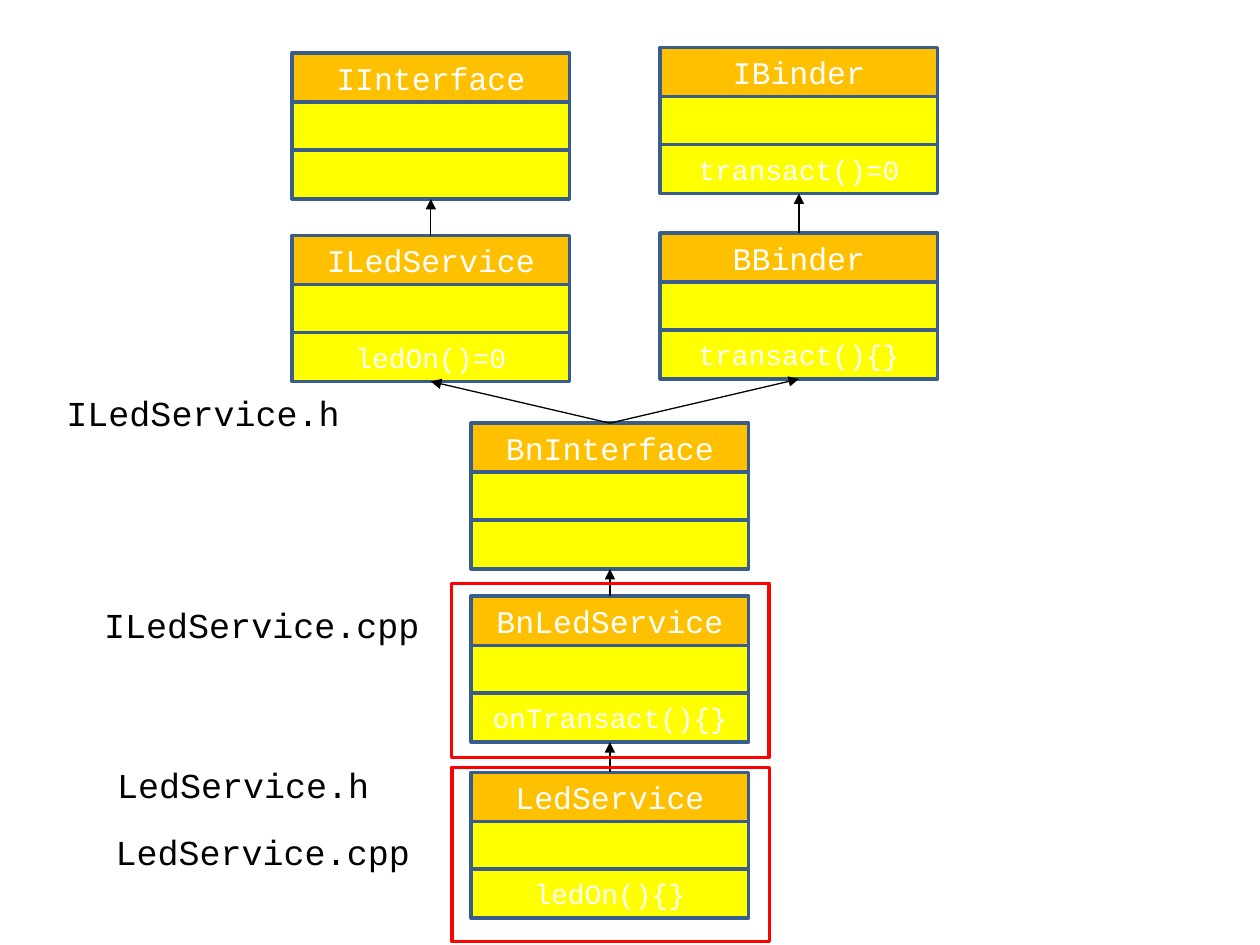
import pptx
import pptx.util
import pptx.dml.color
import pptx.enum.shapes
import pptx.enum.text
import pptx.oxml.ns
from dataclasses import dataclass
from lxml import etree

Cm, Pt = pptx.util.Cm, pptx.util.Pt
RGB = pptx.dml.color.RGBColor.from_string
RECT = pptx.enum.shapes.MSO_SHAPE.RECTANGLE
STRAIGHT = pptx.enum.shapes.MSO_CONNECTOR.STRAIGHT
PP_ALIGN = pptx.enum.text.PP_ALIGN
ANCHOR = pptx.enum.text.MSO_ANCHOR
AUTO_SIZE = pptx.enum.text.MSO_AUTO_SIZE
qn = pptx.oxml.ns.qn


@dataclass(frozen=True)
class Theme:
    font: str = "Courier New"
    header: str = "FFC000"
    body: str = "FFFF00"
    border: str = "385D8A"
    frame: str = "FF0000"
    light: str = "FFFFFF"
    dark: str = "000000"
    name_size: int = 18
    method_size: int = 16
    label_size: int = 20
    border_width: float = 2
    arrow_width: float = 0.75


THEME = Theme()
BOX_W, ROW_H = 5.59, 0.99
ROW_STEPS = (0, 0.99, 1.95)
LEFT, MIDDLE, RIGHT = 5.89, 9.5, 13.31

# name: (left, top, method)
CLASSES = {
    "IInterface": (LEFT, 1.07, ""),
    "IBinder": (RIGHT, 0.96, "transact()=0"),
    "ILedService": (LEFT, 4.75, "ledOn()=0"),
    "BBinder": (RIGHT, 4.7, "transact(){}"),
    "BnInterface": (MIDDLE, 8.53, ""),
    "BnLedService": (MIDDLE, 12.02, "onTransact(){}"),
    "LedService": (MIDDLE, 15.57, "ledOn(){}"),
}
INHERITS = [
    ("ILedService", "IInterface"),
    ("BBinder", "IBinder"),
    ("BnInterface", "ILedService"),
    ("BnInterface", "BBinder"),
    ("BnLedService", "BnInterface"),
    ("LedService", "BnLedService"),
]
FRAMES = [(9.1, 11.76), (9.11, 15.47)]
FILES = [
    ("ILedService.h", 1.09, 7.77, 6.05),
    ("ILedService.cpp", 1.85, 12.04, 6.88),
    ("LedService.h", 2.11, 15.27, 5.61),
    ("LedService.cpp", 2.08, 16.61, 6.45),
]


def set_text(tf, text, size, color):
    tf.text = text
    for r in tf.paragraphs[0].runs:
        r.font.name = THEME.font
        r.font.size = Pt(size)
        r.font.color.rgb = RGB(color)


def add_rect(slide, left, top, width, height, line, fill=None):
    sp = slide.shapes.add_shape(RECT, Cm(left), Cm(top), Cm(width), Cm(height))
    sp.shadow.inherit = False
    sp.line.color.rgb = RGB(line)
    sp.line.width = Pt(THEME.border_width)
    if fill:
        sp.fill.solid()
        sp.fill.fore_color.rgb = RGB(fill)
    else:
        sp.fill.background()
    return sp


def add_class(slide, left, top, name, method):
    """Stack name, attribute and method rows; return the first and last."""
    rows = [
        (name, THEME.name_size, THEME.header),
        ("", THEME.method_size, THEME.body),
        (method, THEME.method_size, THEME.body),
    ]
    cells = []
    for step, (text, size, fill) in zip(ROW_STEPS, rows):
        sp = add_rect(slide, left, top + step, BOX_W, ROW_H, THEME.border, fill)
        if text:
            set_text(sp.text_frame, text, size, THEME.light)
            sp.text_frame.vertical_anchor = ANCHOR.MIDDLE
            sp.text_frame.paragraphs[0].alignment = PP_ALIGN.CENTER
        cells.append(sp)
    return cells[0], cells[-1]


def add_arrow(slide, child, parent):
    """Point from the top of child to the bottom of parent."""
    cxn = slide.shapes.add_connector(STRAIGHT, 0, 0, 0, 0)
    cxn.begin_connect(child, 0)
    cxn.end_connect(parent, 2)
    cxn.line.color.rgb = RGB(THEME.dark)
    cxn.line.width = Pt(THEME.arrow_width)
    etree.SubElement(cxn.line._get_or_add_ln(), qn("a:tailEnd"), type="triangle")
    etree.SubElement(cxn._element.spPr, qn("a:effectLst"))


def add_label(slide, text, left, top, width):
    sp = slide.shapes.add_textbox(Cm(left), Cm(top), Cm(width), Cm(1.11))
    tf = sp.text_frame
    tf.word_wrap = False
    tf.auto_size = AUTO_SIZE.SHAPE_TO_FIT_TEXT
    set_text(tf, text, THEME.label_size, THEME.dark)


def add_class_diagram(slide):
    boxes = {name: add_class(slide, left, top, name, method)
             for name, (left, top, method) in CLASSES.items()}
    for child, parent in INHERITS:
        add_arrow(slide, boxes[child][0], boxes[parent][1])
    for left, top in FRAMES:
        add_rect(slide, left, top, 6.4, 3.51, THEME.frame)
    for label in FILES:
        add_label(slide, *label)


def main():
    prs = pptx.Presentation()
    prs.slide_width, prs.slide_height = Cm(25.4), Cm(19.05)
    add_class_diagram(prs.slides.add_slide(prs.slide_layouts[6]))
    prs.save("out.pptx")


if __name__ == "__main__":
    main()
